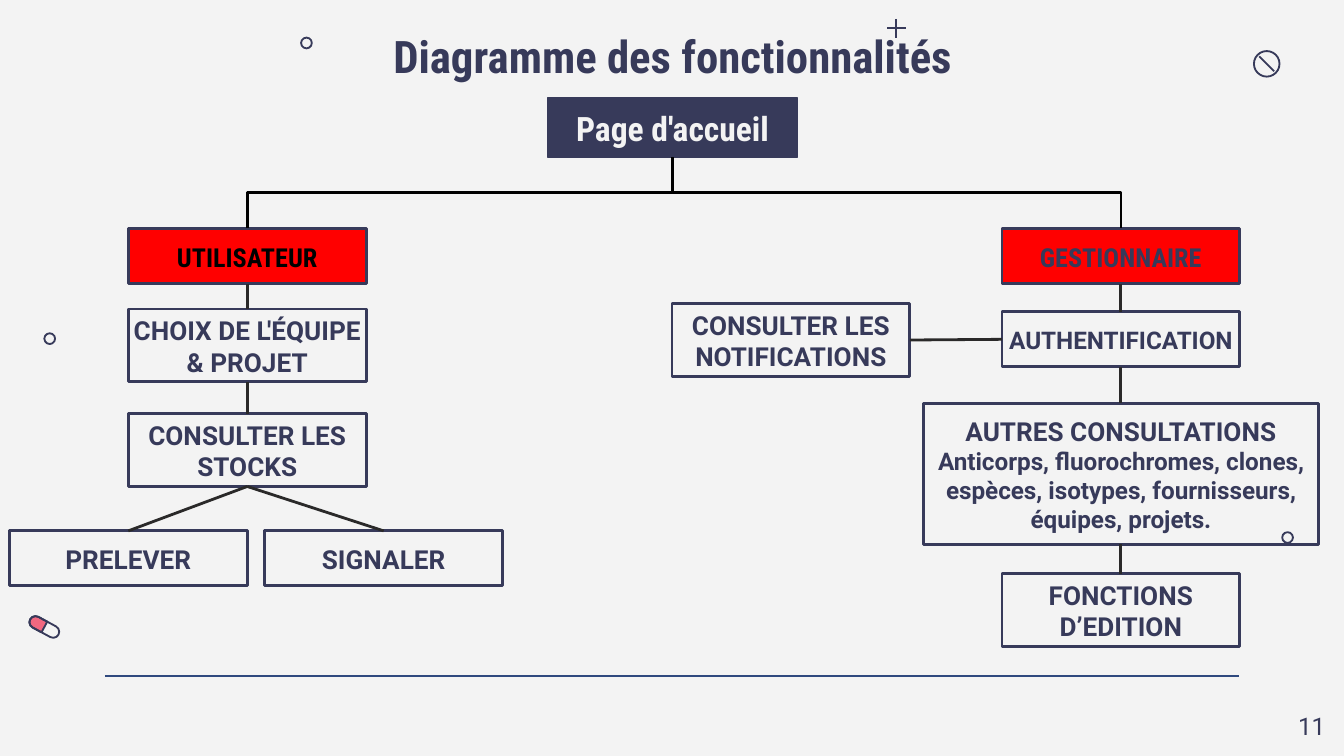
import math
import dataclasses
import pptx
import pptx.util
import pptx.dml.color
import pptx.enum.shapes
import pptx.enum.text
import pptx.oxml.ns
import lxml.etree

KIND = pptx.enum.shapes.MSO_SHAPE
LINK = pptx.enum.shapes.MSO_CONNECTOR
ALIGN = pptx.enum.text.PP_ALIGN
MID = pptx.enum.text.MSO_ANCHOR.MIDDLE
TOP, LEFT, BOTTOM, RIGHT = range(4)
COLS = 100
WIDE, HIGH = 10, 5.625
CARD = 17.7
SHORT, TALL = 4.1, 5.4


@dataclasses.dataclass(frozen=True)
class Theme:
    """Colours, fonts and type sizes."""
    back: str = "F3F3F3"
    ink: str = "373A5A"
    black: str = "000000"
    link: str = "2A2929"
    rule: str = "2F497E"
    red: str = "FF0000"
    pink: str = "F16880"
    body: str = "Roboto"
    head: str = "Roboto Condensed"
    title: int = 24
    root: int = 18
    card: int = 14
    small: int = 13
    stroke: float = 1.5
    thin: float = 0.75


THEME = Theme()


def unit(num):
    """Turn grid columns or rows into a length."""
    return pptx.util.Inches(num * WIDE / COLS)


def tint(code):
    """Turn a hex code into a colour."""
    return pptx.dml.color.RGBColor.from_string(code)


def place(box, x, y, w, h):
    """Give the four lengths of a part inside a box."""
    return [unit(n) for n in (box[0] + x, box[1] + y, w, h)]


def draw(slide, kind, spot, fill=None, line=None, width=THEME.stroke):
    """Add a preset shape with a plain fill and line."""
    shape = slide.shapes.add_shape(kind, *spot)
    shape.shadow.inherit = False
    if fill:
        shape.fill.solid()
        shape.fill.fore_color.rgb = tint(fill)
    else:
        shape.fill.background()
    if line:
        shape.line.color.rgb = tint(line)
        shape.line.width = pptx.util.Pt(width)
    else:
        shape.line.fill.background()
    return shape


def write(frame, parts, color, font, bold=True, align=ALIGN.CENTER):
    """Fill a frame with one paragraph for each text and size."""
    frame.word_wrap = True
    for i, (text, size) in enumerate(parts):
        para = frame.paragraphs[0] if i == 0 else frame.add_paragraph()
        para.text, para.alignment = text, align
        para.font.name, para.font.bold = font, bold
        para.font.size = pptx.util.Pt(size)
        para.font.color.rgb = tint(color)


def card(slide, spot, *parts, fill=None, color=THEME.ink, font=THEME.body, width=THEME.stroke):
    """Add a framed box with centred text."""
    shape = draw(slide, KIND.RECTANGLE, spot, fill, THEME.ink, width)
    frame = shape.text_frame
    frame.margin_left = frame.margin_right = frame.margin_bottom = 0
    frame.margin_top = pptx.util.Inches(0.01)
    frame.vertical_anchor = MID
    write(frame, parts, color, font)
    return shape


def stroke(slide, start, end, color, width=THEME.stroke, kind=LINK.STRAIGHT):
    """Add a line between two points."""
    line = slide.shapes.add_connector(kind, *start, *end)
    line.line.color.rgb = tint(color)
    line.line.width = pptx.util.Pt(width)
    lxml.etree.SubElement(line._element.spPr, pptx.oxml.ns.qn("a:effectLst"))
    return line


def join(slide, one, two, out=BOTTOM, into=TOP, color=THEME.link, kind=LINK.STRAIGHT):
    """Join the sides of two cards with a line."""
    line = stroke(slide, (0, 0), (0, 0), color, kind=kind)
    line.begin_connect(one, out)
    line.end_connect(two, into)
    return line


def branch(slide, root, leaf):
    """Join a root to a lower card with an elbow that leaves downward."""
    line = join(slide, root, leaf, color=THEME.black, kind=LINK.ELBOW)
    x, y, w, h = line.left, line.top, line.width, line.height
    line.left, line.top = x + (w - h) // 2, y + (h - w) // 2
    line.width, line.height = h, w
    frame = line._element.spPr.find(pptx.oxml.ns.qn("a:xfrm"))
    for key in ("flipH", "flipV"):
        frame.attrib.pop(key, None)
    frame.set("rot", "5400000")
    if leaf.left > root.left:
        frame.set("flipV", "1")


def pill(slide, box):
    """Draw a tilted pill, half of it coloured."""
    w, h, tilt = 2.4, 0.9, 28.4
    half = w / 2
    turn = math.radians(tilt)
    x = half - half / 2 * math.cos(turn) - h / 2
    y = h / 2 - half / 2 * math.sin(turn) - half / 2
    end = draw(slide, KIND.ROUND_2_SAME_RECTANGLE, place(box, x, y, h, half),
               THEME.pink, THEME.ink, 1)
    end.adjustments[0] = 0.5
    end.rotation = tilt - 90
    whole = draw(slide, KIND.ROUNDED_RECTANGLE, place(box, 0, 0, w, h), None, THEME.ink, 1)
    whole.adjustments[0] = 0.5
    whole.rotation = tilt


def decor(slide, box):
    """Scatter the small signs and draw the bottom rule."""
    def mark(ax, ay, bx, by, color=THEME.ink, width=1):
        a, b = place(box, ax, ay, 0, 0)[:2], place(box, bx, by, 0, 0)[:2]
        stroke(slide, a, b, color, width)

    mark(7.8, 50.3, 92.2, 50.3, THEME.rule, THEME.stroke)
    pill(slide, (box[0] + 2.1, box[1] + 46.2))
    for x, y in ((95.4, 39.6), (22.4, 2.8), (3.3, 24.8)):
        draw(slide, KIND.OVAL, place(box, x, y, 0.8, 0.8), None, THEME.ink, 1)
    draw(slide, KIND.OVAL, place(box, 93.3, 3.8, 1.9, 1.9), THEME.back, THEME.ink, 1)
    mark(93.7, 4.2, 94.8, 5.3)
    mark(66.7, 1.4, 66.7, 2.8)
    mark(66, 2.1, 67.4, 2.1)


def header(slide, box):
    """Set the title and the root card, and return the card."""
    title = slide.shapes.title
    title.left, title.top, title.width, title.height = place(box, 0, 0, box[2], 6.3)
    frame = title.text_frame
    frame.auto_size = pptx.enum.text.MSO_AUTO_SIZE.NONE
    frame.vertical_anchor = MID
    write(frame, [("Diagramme des fonctionnalités", THEME.title)], THEME.ink, THEME.head)
    spot = place(box, (box[2] - 18.6) / 2, 6.3, 18.6, 4.4)
    return card(slide, spot, ("Page d'accueil", THEME.root), fill=THEME.ink,
                color=THEME.back, font=THEME.head, width=THEME.thin)


def user(slide, box):
    """Build the user tree and return its top card."""
    mid = CARD / 2
    def add(x, y, h, text, **look):
        return card(slide, place(box, x, y, CARD, h), (text, THEME.card), **look)

    top = add(mid, 0, SHORT, "UTILISATEUR", fill=THEME.red, color=THEME.black, font=THEME.head)
    team = add(mid, 6, TALL, "CHOIX DE L'ÉQUIPE & PROJET")
    stock = add(mid, 13.8, TALL, "CONSULTER LES STOCKS")
    take = add(0, 22.5, SHORT, "PRELEVER")
    flag = add(box[2] - CARD, 22.5, SHORT, "SIGNALER")
    for one, two in ((top, team), (team, stock), (stock, take), (stock, flag)):
        join(slide, one, two)
    return top


def admin(slide, box):
    """Build the manager tree and return its top card."""
    wide = 29.4
    mid = box[2] - wide / 2
    def add(y, w, h, *parts, x=None, **look):
        left = mid - w / 2 if x is None else x
        return card(slide, place(box, left, y, w, h), *parts, **look)

    top = add(0, CARD, SHORT, ("GESTIONNAIRE", THEME.card), fill=THEME.red, font=THEME.head)
    login = add(6.2, CARD, SHORT, ("AUTHENTIFICATION", THEME.small))
    news = add(5.6, CARD, TALL, ("CONSULTER LES NOTIFICATIONS", THEME.card), x=0)
    more = add(13, wide, 10.5, ("AUTRES CONSULTATIONS", THEME.card),
               ("Anticorps, fluorochromes, clones, espèces, isotypes, "
                "fournisseurs, équipes, projets.", THEME.small))
    edit = add(25.7, CARD, TALL, ("FONCTIONS D’EDITION", THEME.card))
    for one, two in ((top, login), (login, more), (more, edit)):
        join(slide, one, two)
    join(slide, login, news, LEFT, RIGHT)
    return top


def number(slide, box):
    """Set the page number."""
    frame = slide.shapes.add_textbox(*place(box, 0, 0, *box[2:])).text_frame
    frame.margin_top = frame.margin_bottom = pptx.util.Inches(0.1)
    write(frame, [("11", THEME.small)], THEME.ink, THEME.body, False, ALIGN.RIGHT)


def main():
    """Build and save the slide."""
    deck = pptx.Presentation()
    deck.slide_width, deck.slide_height = map(pptx.util.Inches, (WIDE, HIGH))
    slide = deck.slides.add_slide(deck.slide_layouts[5])
    slide.background.fill.solid()
    slide.background.fill.fore_color.rgb = tint(THEME.back)
    decor(slide, (0, 0))
    root = header(slide, (15.1, 1, 69.9, 10.7))
    for tree, box in ((user, (0.7, 17, 36.7, 26.6)), (admin, (50, 17, 48.1, 31.1))):
        branch(slide, root, tree(slide, box))
    number(slide, (93.6, 51.9, 6, 4.3))
    deck.save("out.pptx")


if __name__ == "__main__":
    main()
